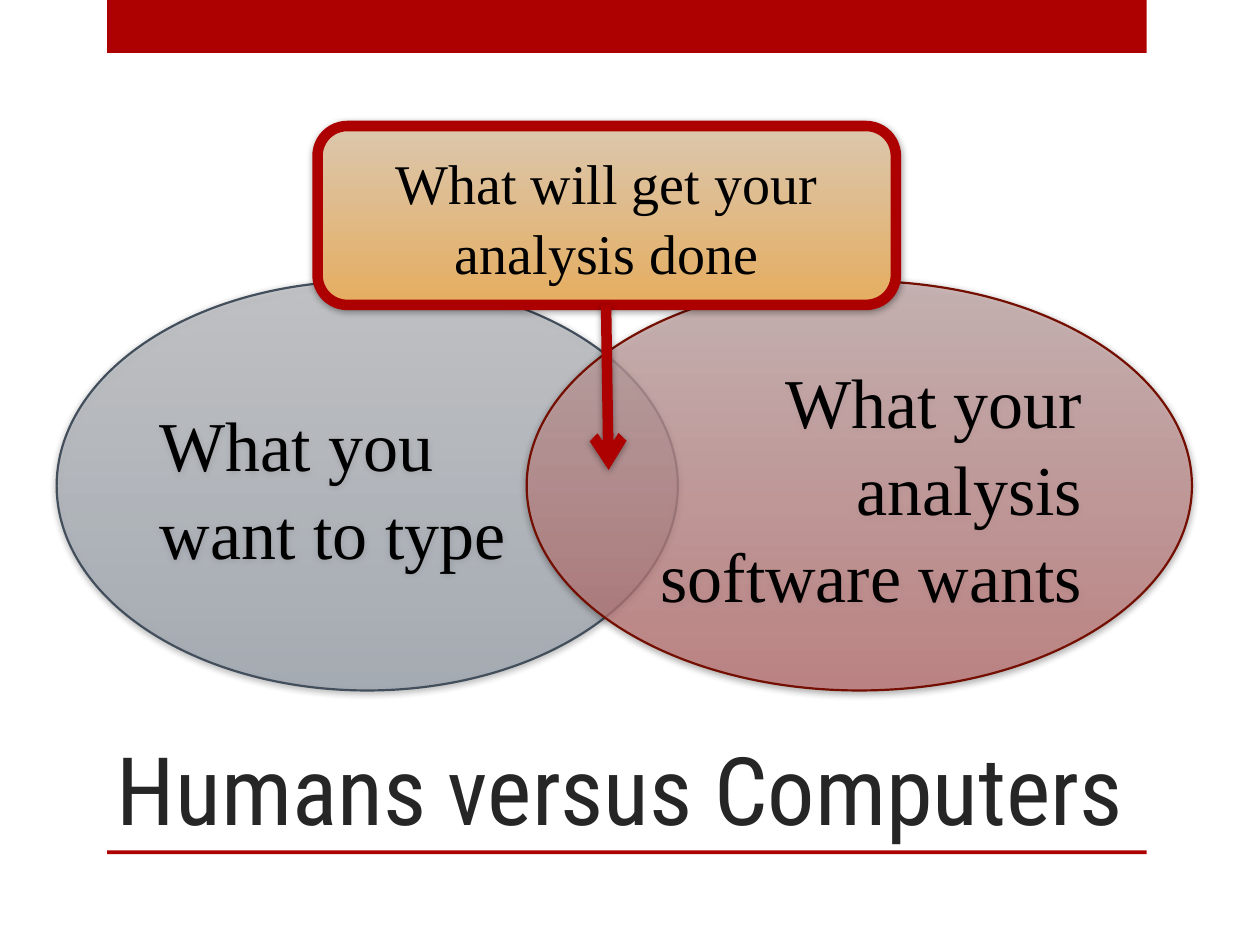
from dataclasses import dataclass
from lxml.etree import SubElement
from pptx import Presentation
from pptx.dml.color import RGBColor
from pptx.enum.shapes import MSO_CONNECTOR, MSO_SHAPE
from pptx.enum.text import MSO_ANCHOR, PP_ALIGN
from pptx.oxml import parse_xml
from pptx.oxml.ns import nsdecls, qn
from pptx.util import Inches, Pt


@dataclass(frozen=True)
class Theme:
    red: str = "AD0101"
    dark: str = "262626"
    ink: str = "000000"
    slate: str = "424E5B"
    wine: str = "730E00"
    head: str = "Roboto Condensed"
    body: str = "Times New Roman"
    title: int = 54
    large: int = 40
    small: int = 32
    thin: float = 1.25
    thick: float = 6


T = Theme()
TITLE = "Humans versus Computers"
BARS = [(0.85, 0, 8.25, 0.42), (0.85, 6.75, 8.25, 0.03)]
NODES = [
    dict(text="What you want to type", kind=MSO_SHAPE.OVAL,
         box=(0.45, 2.23, 4.93, 3.25), fill=("B7BABF", "8A94A2"), alpha=54,
         line=T.slate, width=T.thin, size=T.large, align=PP_ALIGN.LEFT),
    dict(text="What your analysis software wants", kind=MSO_SHAPE.OVAL,
         box=(4.18, 2.23, 5.28, 3.25), fill=("C9AEAE", "BD7070"), alpha=72,
         line=T.wine, width=T.thin, size=T.large, align=PP_ALIGN.RIGHT),
    dict(text="What will get your analysis done", kind=MSO_SHAPE.ROUNDED_RECTANGLE,
         box=(2.52, 1, 4.59, 1.42), fill=("DBC7AD", "E5AD60"), alpha=100,
         line=T.red, width=T.thick, size=T.small, align=PP_ALIGN.CENTER),
]
ARROW = (4.81, 2.42, 4.83, 3.73)


def rgb(color):
    return RGBColor.from_string(color)


def inch(box):
    return [Inches(v) for v in box]


def write(shape, text, font, size, color, align, anchor):
    frame = shape.text_frame
    frame.word_wrap = True
    frame.vertical_anchor = anchor
    para = frame.paragraphs[0]
    para.alignment = align
    run = para.add_run()
    run.text = text
    run.font.name, run.font.size = font, Pt(size)
    run.font.color.rgb = rgb(color)
    return para


def outline(line, color, width):
    line.color.rgb = rgb(color)
    line.width = Pt(width)


def shade(shape, stops, alpha):
    props = shape.fill._xPr
    stop = "".join(
        f'<a:gs pos="{pos}"><a:srgbClr val="{color}">'
        f'<a:alpha val="{alpha * 1000}"/></a:srgbClr></a:gs>'
        for pos, color in zip((0, 100000), stops))
    props.find(qn("a:prstGeom")).addnext(parse_xml(
        f'<a:gradFill {nsdecls("a")} rotWithShape="1"><a:gsLst>{stop}</a:gsLst>'
        '<a:lin ang="5400000" scaled="0"/></a:gradFill>'))


def shadow(shape):
    shape._element.spPr.append(parse_xml(
        f'<a:effectLst {nsdecls("a")}><a:outerShdw blurRad="{Pt(4)}" '
        f'dist="{Pt(1)}" dir="{88 * 60000}" rotWithShape="0">'
        f'<a:srgbClr val="{T.ink}"><a:alpha val="40000"/></a:srgbClr>'
        '</a:outerShdw></a:effectLst>'))


deck = Presentation()
deck.slide_width, deck.slide_height = Inches(10), Inches(7.5)
slide = deck.slides.add_slide(deck.slide_layouts[6])
shapes = slide.shapes

for box in BARS:
    bar = shapes.add_shape(MSO_SHAPE.RECTANGLE, *inch(box))
    bar.shadow.inherit = False
    bar.fill.solid()
    bar.fill.fore_color.rgb = rgb(T.red)
    bar.line.fill.background()

title = shapes.add_textbox(*inch((0.83, 5, 8.74, 1.75)))
write(title, TITLE, T.head, T.title, T.dark, PP_ALIGN.LEFT, MSO_ANCHOR.BOTTOM)

for node in NODES:
    shape = shapes.add_shape(node["kind"], *inch(node["box"]))
    shade(shape, node["fill"], node["alpha"])
    outline(shape.line, node["line"], node["width"])
    shadow(shape)
    para = write(shape, node["text"], T.body, node["size"], T.ink,
                 node["align"], MSO_ANCHOR.MIDDLE)
    para.line_spacing = 1.04

arrow = shapes.add_connector(MSO_CONNECTOR.STRAIGHT, *inch(ARROW))
outline(arrow.line, T.red, T.thick)
SubElement(arrow.line._get_or_add_ln(), qn("a:tailEnd"), type="arrow")
shadow(arrow)

deck.save("out.pptx")
